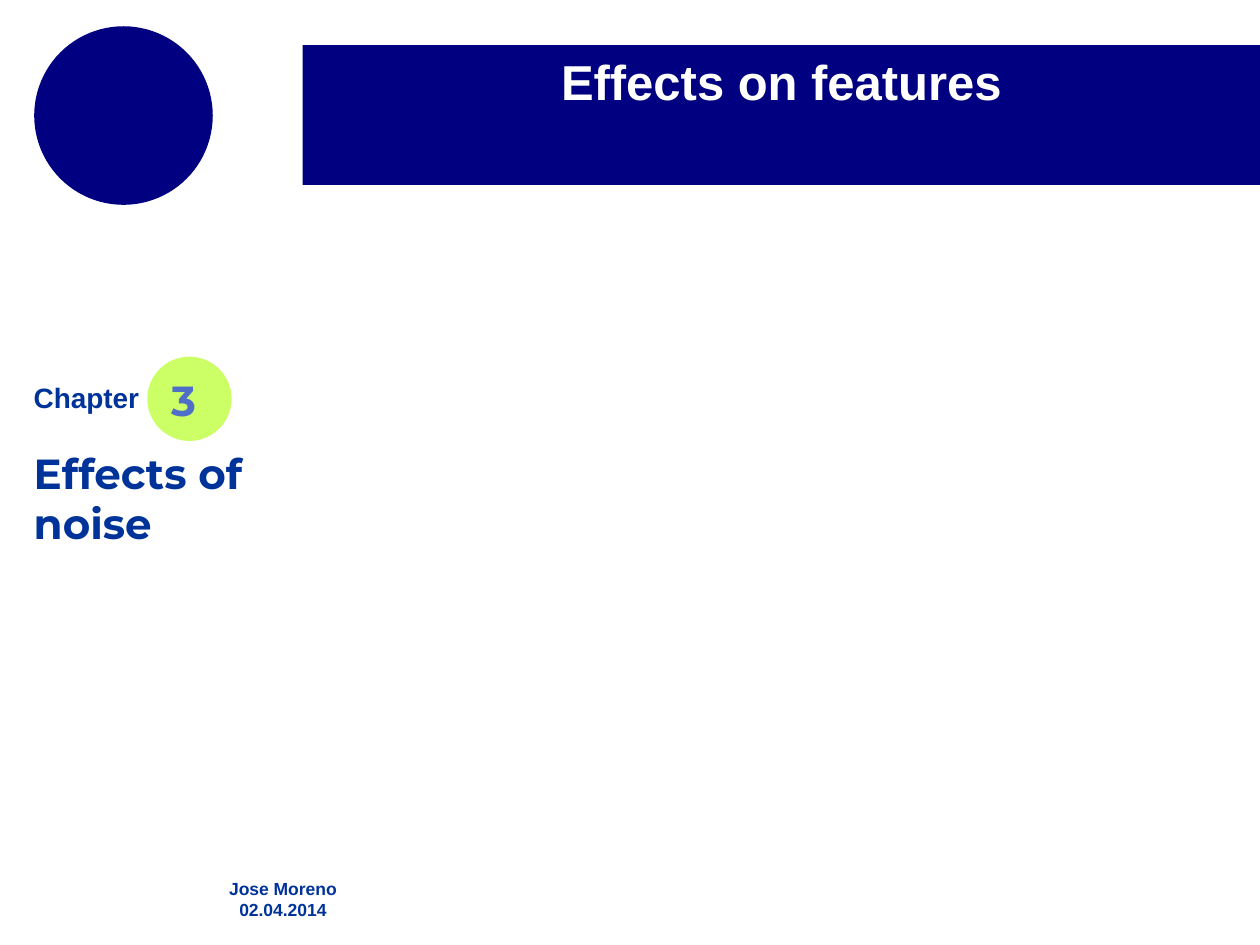
from pptx import Presentation
from pptx.dml.color import RGBColor
from pptx.enum.shapes import MSO_SHAPE
from pptx.enum.text import MSO_ANCHOR, MSO_AUTO_SIZE, PP_ALIGN
from pptx.util import Cm, Pt

OVAL = MSO_SHAPE.OVAL
TOP = MSO_ANCHOR.TOP
FIT_SHAPE = MSO_AUTO_SIZE.SHAPE_TO_FIT_TEXT
NO_FIT = MSO_AUTO_SIZE.NONE
LEFT, CENTER = PP_ALIGN.LEFT, PP_ALIGN.CENTER

NAVY = RGBColor(0x00, 0x00, 0x80)
BLUE = RGBColor(0x00, 0x33, 0x99)
SOFT_BLUE = RGBColor(0x4E, 0x6E, 0xC8)
LIME = RGBColor(0xCC, 0xFF, 0x66)
WHITE = RGBColor(0xFF, 0xFF, 0xFF)


def style_paragraph(para, font_name, size, color, alignment=LEFT):
    para.alignment = alignment
    para.font.name = font_name
    para.font.size = Pt(size)
    para.font.bold = True
    para.font.color.rgb = color


deck = Presentation()
deck.slide_width, deck.slide_height = Cm(25.4), Cm(19.05)
page = deck.slides.add_slide(deck.slide_layouts[5])

# Title band
title = page.shapes.title
title.left, title.top, title.width, title.height = Cm(6.1), Cm(0.91), Cm(19.3), Cm(2.82)
title.fill.solid()
title.fill.fore_color.rgb = NAVY
title.text_frame.text = "Effects on features"
title.text_frame.vertical_anchor = TOP
title.text_frame.auto_size = NO_FIT
style_paragraph(title.text_frame.paragraphs[0], "Arial", 28, WHITE, CENTER)

# Corner disc and chapter number disc
for left, top, diameter, color in [(0.69, 0.53, 3.6, NAVY), (2.97, 7.19, 1.7, LIME)]:
    disc = page.shapes.add_shape(OVAL, Cm(left), Cm(top), Cm(diameter), Cm(diameter))
    disc.shadow.inherit = False
    disc.fill.solid()
    disc.fill.fore_color.rgb = color
    disc.line.fill.background()

# Chapter heading and footer: left, top, width, height, wrap, font, size, color, lines
labels = [
    (0.43, 7.54, 3.18, 0.94, True, "Arial", 16, BLUE, ["Chapter"]),
    (3.2, 7.42, 0.99, 1.27, False, "Montserrat", 24, SOFT_BLUE, ["3"]),
    (0.43, 8.89, 6.55, 2.29, True, "Montserrat", 24, BLUE, ["Effects of noise"]),
    (4.37, 17.58, 2.67, 1.12, False, "Arial", 10, BLUE, ["Jose Moreno", "02.04.2014"]),
]
for left, top, width, height, wrap, font_name, size, color, lines in labels:
    box = page.shapes.add_textbox(Cm(left), Cm(top), Cm(width), Cm(height))
    frame = box.text_frame
    frame.word_wrap = wrap
    frame.auto_size = FIT_SHAPE
    frame.text = "\n".join(lines)
    for index, para in enumerate(frame.paragraphs):
        style_paragraph(para, font_name, size, color, CENTER if index else LEFT)

deck.save("out.pptx")
